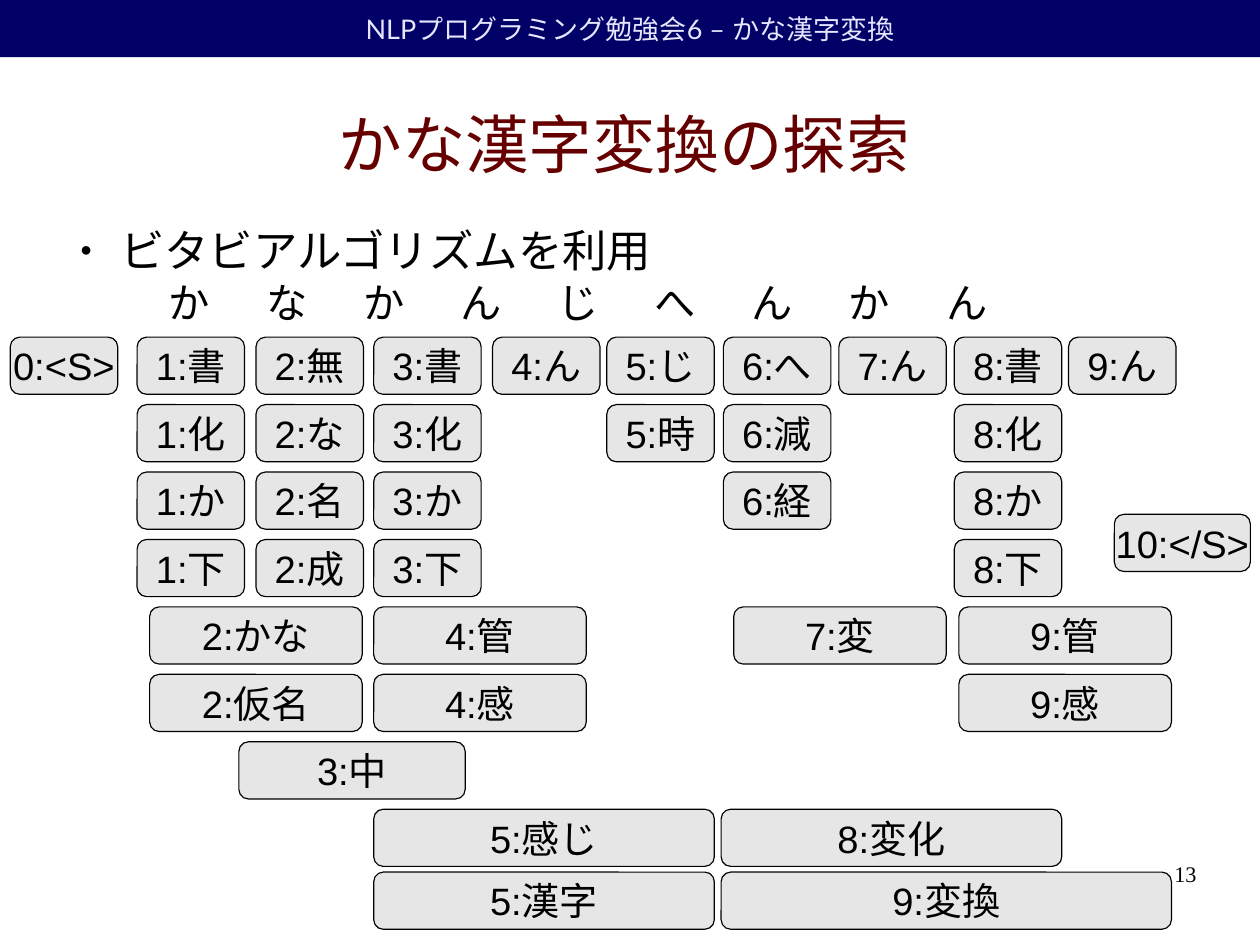
from lxml import etree
from pptx import Presentation
from pptx.dml.color import RGBColor
from pptx.enum import shapes, text
from pptx.oxml import ns
from pptx.util import Inches, Pt

NAVY = RGBColor(0x00, 0x00, 0x66)
LAVENDER = RGBColor(0xE6, 0xE6, 0xFF)
MAROON = RGBColor(0x66, 0x00, 0x00)
GRAY = RGBColor(0xE6, 0xE6, 0xE6)
BLACK = RGBColor(0x00, 0x00, 0x00)

HEADER = "NLPプログラミング勉強会6 – かな漢字変換"
TITLE = "かな漢字変換の探索"
BULLET = "ビタビアルゴリズムを利用"
KANA = "かなかんじへんかん"
PAGE_NUMBER = "13"

NODE_HEIGHT = 0.5
KANA_PITCH = 0.85
ROW_TOPS = [2.95 + 0.59 * row for row in range(8)] + [7.63]
SINGLE, DOUBLE, TRIPLE = 0.94, 1.86, 2.98

STACKS = [
    {"left": 0.09, "row": 0, "width": SINGLE, "labels": ["0:<S>"]},
    {"left": 1.2, "row": 0, "width": SINGLE, "labels": ["1:書", "1:化", "1:か", "1:下"]},
    {"left": 2.24, "row": 0, "width": SINGLE, "labels": ["2:無", "2:な", "2:名", "2:成"]},
    {"left": 3.27, "row": 0, "width": SINGLE, "labels": ["3:書", "3:化", "3:か", "3:下"]},
    {"left": 4.31, "row": 0, "width": SINGLE, "labels": ["4:ん"]},
    {"left": 5.31, "row": 0, "width": SINGLE, "labels": ["5:じ", "5:時"]},
    {"left": 6.33, "row": 0, "width": SINGLE, "labels": ["6:へ", "6:減", "6:経"]},
    {"left": 7.34, "row": 0, "width": SINGLE, "labels": ["7:ん"]},
    {"left": 8.35, "row": 0, "width": SINGLE, "labels": ["8:書", "8:化", "8:か", "8:下"]},
    {"left": 9.35, "row": 0, "width": SINGLE, "labels": ["9:ん"]},
    {"left": 1.31, "row": 4, "width": DOUBLE, "labels": ["2:かな", "2:仮名"]},
    {"left": 3.27, "row": 4, "width": DOUBLE, "labels": ["4:管", "4:感"]},
    {"left": 6.42, "row": 4, "width": DOUBLE, "labels": ["7:変"]},
    {"left": 8.39, "row": 4, "width": DOUBLE, "labels": ["9:管", "9:感"]},
    {"left": 2.09, "row": 6, "width": 1.98, "labels": ["3:中"]},
    {"left": 3.27, "row": 7, "width": TRIPLE, "labels": ["5:感じ", "5:漢字"]},
    {"left": 6.31, "row": 7, "width": TRIPLE, "labels": ["8:変化"]},
    {"left": 6.31, "row": 8, "width": 3.94, "labels": ["9:変換"]},
]
END_NODE = ("10:</S>", 9.75, 4.5, 1.19)


def write(box, words, size, color=BLACK, font="Arial", align="LEFT",
          anchor="TOP", inset=True, wrap=True):
    frame = box.text_frame
    frame.word_wrap = wrap
    frame.vertical_anchor = getattr(text.MSO_ANCHOR, anchor)
    frame.margin_left = frame.margin_right = Inches(0.1 if inset else 0)
    frame.margin_top = frame.margin_bottom = Inches(0.05 if inset else 0)
    para = frame.paragraphs[0]
    para.alignment = getattr(text.PP_ALIGN, align)
    span = para.add_run()
    span.text = words
    span.font.name = font
    span.font.size = Pt(size)
    span.font.color.rgb = color
    return para


def add_box(page, left, top, width, height):
    return page.shapes.add_textbox(
        Inches(left), Inches(top), Inches(width), Inches(height))


def add_panel(page, kind, fill, left, top, width, height):
    panel = page.shapes.add_shape(
        kind, Inches(left), Inches(top), Inches(width), Inches(height))
    panel.shadow.inherit = False
    panel.fill.solid()
    panel.fill.fore_color.rgb = fill
    panel.line.fill.background()
    return panel


def add_node(page, label, left, top, width):
    node = add_panel(page, shapes.MSO_SHAPE.ROUNDED_RECTANGLE, GRAY,
                     left, top, width, NODE_HEIGHT)
    node.line.color.rgb = BLACK
    node.line.width = Pt(0)
    write(node, label, 24, align="CENTER", anchor="MIDDLE", wrap=False)


def add_child(parent, tag, **attributes):
    return etree.SubElement(parent, ns.qn(tag), attributes)


def main():
    deck = Presentation()
    deck.slide_width, deck.slide_height = Pt(793.75), Pt(595.25)
    page = deck.slides.add_slide(deck.slide_layouts[5])

    banner = add_panel(page, shapes.MSO_SHAPE.RECTANGLE, NAVY, 0, 0, 11.02, 0.5)
    banner.width = deck.slide_width
    write(banner, HEADER, 17, LAVENDER, "Lato", "CENTER", "MIDDLE")

    title = page.shapes.title
    title.left, title.top = Inches(0.5), Inches(0.62)
    title.width, title.height = Inches(9.92), Inches(1.27)
    write(title, TITLE, 40, MAROON, align="CENTER", anchor="MIDDLE", inset=False)

    para = write(add_box(page, 0.58, 1.95, 9.92, 0.56), BULLET, 28, inset=False)
    props = para._p.get_or_add_pPr()
    props.set("marL", str(Inches(0.47)))
    props.set("indent", str(Inches(-0.35)))
    add_child(add_child(props, "a:buClr"), "a:srgbClr", val=str(BLACK))
    add_child(props, "a:buSzPct", val="45000")
    add_child(props, "a:buFont", typeface="Arial")
    add_child(props, "a:buChar", char="●")

    para = write(add_box(page, 1.38, 2.38, 8.97, 0.52), "\t".join(KANA), 26)
    tabs = add_child(para._p.get_or_add_pPr(), "a:tabLst")
    for place in range(1, len(KANA)):
        add_child(tabs, "a:tab", pos=str(Inches(KANA_PITCH * place)), algn="l")

    for stack in STACKS:
        for label, top in zip(stack["labels"], ROW_TOPS[stack["row"]:]):
            add_node(page, label, stack["left"], top, stack["width"])
    add_node(page, *END_NODE)

    write(add_box(page, 7.9, 7.53, 2.57, 0.57), PAGE_NUMBER, 14,
          font="Times New Roman", align="RIGHT", inset=False)
    deck.save("out.pptx")


if __name__ == "__main__":
    main()
